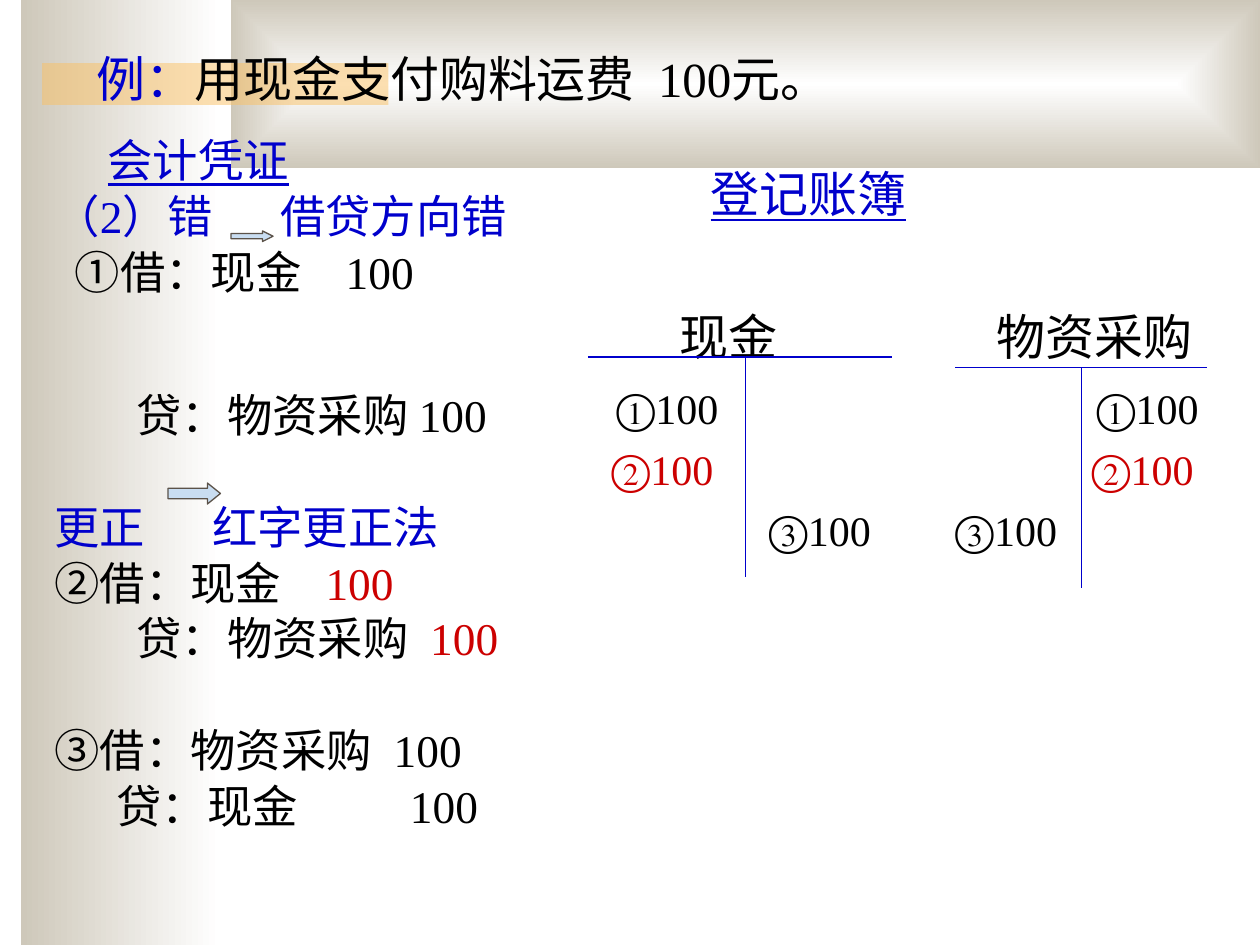
from dataclasses import dataclass

from lxml import etree
from pptx import Presentation
from pptx.dml.color import RGBColor
from pptx.enum.shapes import MSO_CONNECTOR, MSO_SHAPE
from pptx.enum.text import MSO_ANCHOR, MSO_AUTO_SIZE, PP_ALIGN
from pptx.oxml.ns import qn
from pptx.util import Inches, Pt

RECTANGLE, RIGHT_ARROW = MSO_SHAPE.RECTANGLE, MSO_SHAPE.RIGHT_ARROW
STRAIGHT = MSO_CONNECTOR.STRAIGHT
TOP, LEFT, NO_FIT = MSO_ANCHOR.TOP, PP_ALIGN.LEFT, MSO_AUTO_SIZE.NONE
TWO_CONTENT = 3
CELL = Inches(1) // 12  # the slide is a grid of 120 columns and 90 rows


@dataclass(frozen=True)
class Theme:
    font: str = "Times New Roman"
    ink: str = "000000"
    accent: str = "0000CC"
    correction: str = "CC0000"
    paper: str = "FFFFFF"
    stone: str = "CEC8BA"
    highlight: str = "FAC164"
    arrow_fill: str = "C9DDF1"
    arrow_line: str = "5B5249"
    heading_size: float = 28
    entry_size: float = 25.9
    amount_size: float = 24
    line_width: float = 0.75


THEME = Theme()


@dataclass(frozen=True)
class Span:
    text: str
    color: str = THEME.ink
    underlined: bool = False
    tracking: float = 0  # extra letter spacing, in ems


def rgb(color):
    return RGBColor.from_string(color)


def place(box, column, row, columns, rows):
    box.left, box.top = column * CELL, row * CELL
    box.width, box.height = columns * CELL, rows * CELL


def add_panel(page, area, depth):
    """Add a borderless rectangle behind the placeholders, at a given depth."""
    panel = page.shapes.add_shape(RECTANGLE, *(n * CELL for n in area))
    panel.shadow.inherit = False
    panel.line.fill.background()
    element = panel._element
    element.getparent().insert(2 + depth, element)
    return panel


def fill_gradient(panel, from_centre=False):
    panel.fill.gradient()
    panel.fill.gradient_angle = 180
    for stop, color in zip(panel.fill.gradient_stops, (THEME.paper, THEME.stone)):
        stop.color.rgb = rgb(color)
        stop.position = float(color == THEME.stone)
    if from_centre:
        linear = panel._element.spPr.find(".//" + qn("a:lin"))
        shade = etree.Element(qn("a:path"), path="rect")
        etree.SubElement(shade, qn("a:fillToRect"),
                         dict.fromkeys("ltrb", "50000"))
        linear.getparent().replace(linear, shade)


def add_background(page):
    fill_gradient(add_panel(page, (2, 0, 19, 90), 0))
    fill_gradient(add_panel(page, (22, 0, 98, 16), 1), from_centre=True)
    band = add_panel(page, (4, 6, 33, 4), 2)
    band.fill.solid()
    band.fill.fore_color.rgb = rgb(THEME.highlight)
    color = band._element.spPr.find(".//" + qn("a:srgbClr"))
    etree.SubElement(color, qn("a:alpha"), val="50000")


def write_line(para, indent, spans, size, before=0, spacing=1.0):
    """Write one line of spans, with its first-line indent in inches."""
    para.alignment = LEFT
    para.space_before = Pt(before)
    para.line_spacing = spacing
    properties = para._p.get_or_add_pPr()
    properties.set("marL", "0")
    properties.set("indent", str(Inches(indent)))
    etree.SubElement(properties, qn("a:buNone"))
    for piece in spans:
        span = para.add_run()
        span.text = piece.text
        span.font.name = THEME.font
        span.font.size = Pt(size)
        span.font.color.rgb = rgb(piece.color)
        span.font.underline = piece.underlined
        if piece.tracking:
            spacing_value = round(piece.tracking * size * 100)
            span._r.get_or_add_rPr().set("spc", str(spacing_value))


def fill_box(box, area, lines):
    place(box, *area)
    frame = box.text_frame
    frame.word_wrap = True
    frame.auto_size = NO_FIT
    frame.vertical_anchor = TOP
    for index, line in enumerate(lines):
        para = frame.add_paragraph() if index else frame.paragraphs[0]
        write_line(para, **line)


def spread(first, gap, second, color=THEME.ink, second_color=None):
    """Set two texts apart by one space widened to gap quarter-ems."""
    return [Span(first, color),
            Span(" ", color, tracking=(gap - 1) / 4),
            Span(second, second_color or color)]


def heading(text):
    return [Span(text, THEME.accent, underlined=True)]


def voucher_lines():
    line_gap, block_gap, wide_gap = 7, 39, 57
    blue, red = THEME.accent, THEME.correction
    rows = [
        (0, 0.42, heading("会计凭证")),
        (line_gap, 0, spread("（2）错", 6, "借贷方向错", blue)),
        (line_gap, 0.16, spread("①借：现金", 4, "100")),
        (wide_gap, 0.65, spread("贷：物资采购", 1, "100")),
        (block_gap, 0, spread("更正", 6, "红字更正法", blue)),
        (line_gap, 0, spread("②借：现金", 4, "100", second_color=red)),
        (line_gap, 0.65, spread("贷：物资采购", 2, "100", second_color=red)),
        (block_gap, 0, spread("③借：物资采购", 2, "100")),
        (line_gap, 0.49, spread("贷：现金", 10, "100")),
    ]
    return [dict(indent=indent, spans=spans, before=before,
                 size=THEME.entry_size, spacing=0.8)
            for before, indent, spans in rows]


def ledger_lines():
    large, small = THEME.heading_size, THEME.amount_size
    rows = [
        (0, 1.04, large, heading("登记账簿")),
        (48, 0.79, large, spread("现金", 18, "物资采购")),
        (10, 0.29, small, spread("①100", 36, "①100")),
        (6, 0.25, small, spread("②100", 36, "②100", THEME.correction)),
        (6, 1.5, small, spread("③100", 8, "③100")),
    ]
    return [dict(indent=indent, spans=spans, before=before, size=size)
            for before, indent, size, spans in rows]


def add_rule(page, start, end):
    rule = page.shapes.add_connector(STRAIGHT, *(n * CELL for n in start + end))
    rule.line.color.rgb = rgb(THEME.accent)
    rule.line.width = Pt(THEME.line_width)
    etree.SubElement(rule._element.spPr, qn("a:effectLst"))


def add_t_account(page, left, right, stem, top):
    add_rule(page, (left, top), (right, top))
    add_rule(page, (stem, top), (stem, top + 21))


def add_arrow(page, area, head):
    arrow = page.shapes.add_shape(RIGHT_ARROW, *(n * CELL for n in area))
    arrow.shadow.inherit = False
    arrow.adjustments[1] = head
    arrow.fill.solid()
    arrow.fill.fore_color.rgb = rgb(THEME.arrow_fill)
    arrow.line.color.rgb = rgb(THEME.arrow_line)
    arrow.line.width = Pt(THEME.line_width)


def main():
    deck = Presentation()
    deck.slide_width, deck.slide_height = 120 * CELL, 90 * CELL
    page = deck.slides.add_slide(deck.slide_layouts[TWO_CONTENT])
    title, voucher, ledger = list(page.placeholders)[:3]

    add_background(page)
    example = [Span("例：", THEME.accent)] + spread("用现金支付购料运费", 2, "100元。")
    fill_box(title, (8, 4, 103, 7),
             [dict(indent=0, spans=example, size=THEME.heading_size)])
    fill_box(voucher, (4, 13, 50, 83), voucher_lines())
    fill_box(ledger, (54, 15, 63, 72), ledger_lines())
    add_t_account(page, left=56, right=85, stem=71, top=34)
    add_t_account(page, left=91, right=115, stem=103, top=35)
    add_arrow(page, (22, 22, 4, 1), head=1)
    add_arrow(page, (16, 46, 5, 2), head=0.62)
    deck.save("out.pptx")


if __name__ == "__main__":
    main()
